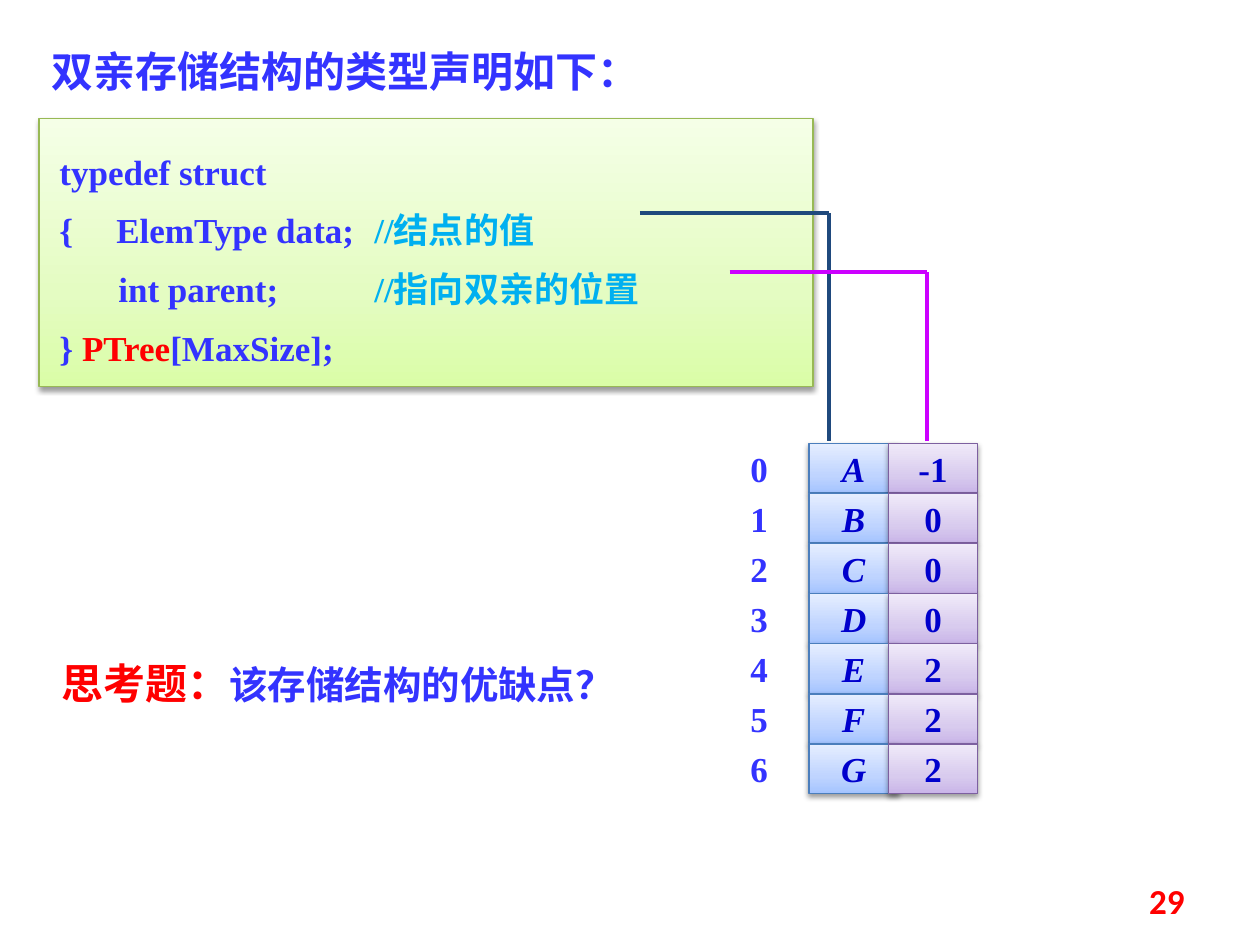
from copy import deepcopy
from typing import NamedTuple

from lxml import etree
from pptx import Presentation
from pptx.dml.color import RGBColor
from pptx.enum.shapes import MSO_CONNECTOR, MSO_SHAPE
from pptx.enum.text import MSO_ANCHOR, PP_ALIGN
from pptx.oxml.ns import qn
from pptx.util import Cm, Pt

RECT, LINE = MSO_SHAPE.RECTANGLE, MSO_CONNECTOR.STRAIGHT
LEFT, MID, RIGHT = PP_ALIGN.LEFT, PP_ALIGN.CENTER, PP_ALIGN.RIGHT
TOP, CENTRE = MSO_ANCHOR.TOP, MSO_ANCHOR.MIDDLE
SERIF, SANS, HAN = "Times New Roman", "Calibri", "Noto Sans CJK SC"
BLUE, NAVY, RED, SKY = "3333FF", "0000CC", "FF0000", "00B0F0"


class Box(NamedTuple):
    x: float
    y: float
    w: float
    h: float


class Run(NamedTuple):
    text: str
    color: str = BLUE
    size: float = 0
    font: str = ""


class Look(NamedTuple):
    stops: tuple[str, str, str]
    edge: str


class Node(NamedTuple):
    name: str
    parent: str


class Elbow(NamedTuple):
    x: float
    y: float
    turn: float
    end: float
    color: str


GREEN = Look(("DAFDA7", "E4FCC2", "F5FFE7"), "98B955")
DATA = Look(("A4C4FF", "BFD4FF", "E6EEFF"), "4B7EBC")
PARENT = Look(("C9B5E8", "D8CBEE", "F0EAF9"), "7D60A0")

CODE = [
    [Run("typedef struct")],
    [Run("{　 ElemType data;\t"), Run("//结点的值", SKY)],
    [Run("　   int parent;\t\t"), Run("//指向双亲的位置", SKY)],
    [Run("} "), Run("PTree", RED), Run("[MaxSize];")],
]
NODES = [Node("A", "-1"), Node("B", "0"), Node("C", "0"), Node("D", "0"),
         Node("E", "2"), Node("F", "2"), Node("G", "2")]
ELBOWS = [Elbow(12.9, 4.29, 16.71, 8.89, "1F497D"),
          Elbow(14.71, 5.49, 18.69, 8.89, "CC00FF")]
ROW_TOP, PITCH = 8.94, 1.01


def rgb(code: str) -> RGBColor:
    return RGBColor.from_string(code)


def span(box: Box) -> list:
    return [Cm(n) for n in box]


def style(font, size: float, color: str, name: str, italic: bool = False) -> None:
    font.size, font.name = Pt(size), name
    font.bold, font.italic = True, italic
    font.color.rgb = rgb(color)


def write(frame, rows: list, size: float = 20, color: str = BLUE, name: str = SERIF,
          align=LEFT, anchor=TOP, italic: bool = False, pitch: float = 1) -> None:
    """Fill a text frame with one paragraph for each row of runs."""
    frame.word_wrap, frame.vertical_anchor = True, anchor
    for i, row in enumerate(rows):
        para = frame.add_paragraph() if i else frame.paragraphs[0]
        para.alignment, para.line_spacing = align, pitch
        style(para.font, size, color, name, italic)
        for item in row:
            run = para.add_run()
            run.text = item.text
            if item.color != color:
                run.font.color.rgb = rgb(item.color)
            if item.size:
                run.font.size = Pt(item.size)
            if item.font:
                run.font.name = item.font


def label(slide, box: Box, rows: list, **kind) -> None:
    write(slide.shapes.add_textbox(*span(box)).text_frame, rows, **kind)


def panel(slide, box: Box, look: Look):
    """Add a rectangle with a three-stop gradient and a soft shadow."""
    shape = slide.shapes.add_shape(RECT, *span(box))
    shape.line.color.rgb, shape.line.width = rgb(look.edge), Pt(0.75)
    fill = shape.fill
    fill.gradient()
    fill.gradient_angle = 90
    props = shape._element.spPr
    stops = props.find(".//" + qn("a:gsLst"))
    stops.insert(1, deepcopy(stops[0]))
    for stop, color, place in zip(fill.gradient_stops, look.stops, (0, 0.35, 1)):
        stop.color.rgb, stop.position = rgb(color), place
    shape.shadow.inherit = False
    glow = etree.SubElement(props.find(qn("a:effectLst")), qn("a:outerShdw"),
                            blurRad=str(Pt(3.1)), dist=str(Pt(1.6)),
                            dir="5400000", rotWithShape="0")
    tint = etree.SubElement(glow, qn("a:srgbClr"), val="000000")
    etree.SubElement(tint, qn("a:alpha"), val="38000")
    return shape


def cell(slide, box: Box, look: Look, text: str, italic: bool = False) -> None:
    frame = panel(slide, box, look).text_frame
    write(frame, [[Run(text, NAVY)]], color=NAVY, align=MID, anchor=CENTRE, italic=italic)
    frame.word_wrap = False


def link(slide, bend: Elbow) -> None:
    """Draw a line across, then one down."""
    ends = [(bend.x, bend.y), (bend.turn, bend.y), (bend.turn, bend.end)]
    for start, stop in zip(ends, ends[1:]):
        line = slide.shapes.add_connector(LINE, *map(Cm, start + stop))
        line.line.color.rgb, line.line.width = rgb(bend.color), Pt(2.25)
        etree.SubElement(line._element.spPr, qn("a:effectLst"))


def main() -> None:
    deck = Presentation()
    deck.slide_width, deck.slide_height = Cm(25.4), Cm(19.05)
    slide = deck.slides.add_slide(deck.slide_layouts[5])

    title = slide.shapes.title
    title.left, title.top, title.width, title.height = span(Box(0.79, 0.79, 15.09, 1.27))
    write(title.text_frame, [[Run("双亲存储结构的类型声明如下：")]], size=24, anchor=CENTRE)

    frame = panel(slide, Box(0.79, 2.39, 15.6, 5.4), GREEN).text_frame
    frame.margin_left = frame.margin_right = Cm(0.41)
    frame.margin_top = frame.margin_bottom = Cm(0.3)
    write(frame, CODE, pitch=1.4)

    label(slide, Box(0.99, 13.13, 13, 1.27),
          [[Run("思考题：", RED, 24, HAN), Run("该存储结构的优缺点？")]], size=22)

    for i, node in enumerate(NODES):
        y = ROW_TOP + i * PITCH
        cell(slide, Box(16.31, y, 1.8, 1), DATA, node.name, italic=True)
        cell(slide, Box(17.91, y, 1.8, 1), PARENT, node.parent)
        label(slide, Box(14.71, y - 0.05, 1.19, 1.09), [[Run(str(i))]], align=MID)

    for bend in ELBOWS:
        link(slide, bend)

    label(slide, Box(18.21, 17.65, 5.92, 1.02), [[Run("29", RED)]],
          color=RED, name=SANS, align=RIGHT, anchor=CENTRE)
    deck.save("out.pptx")


if __name__ == "__main__":
    main()
